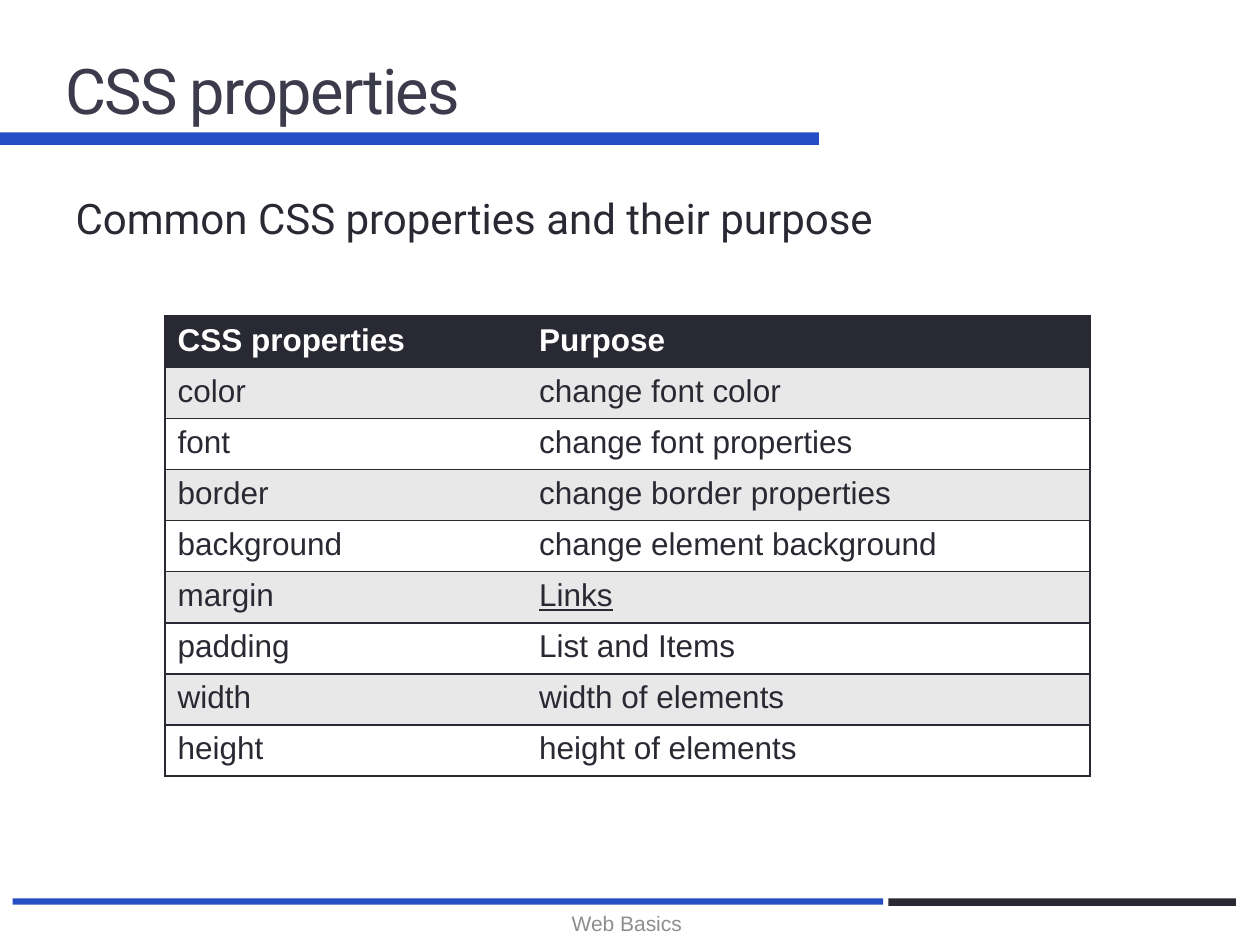
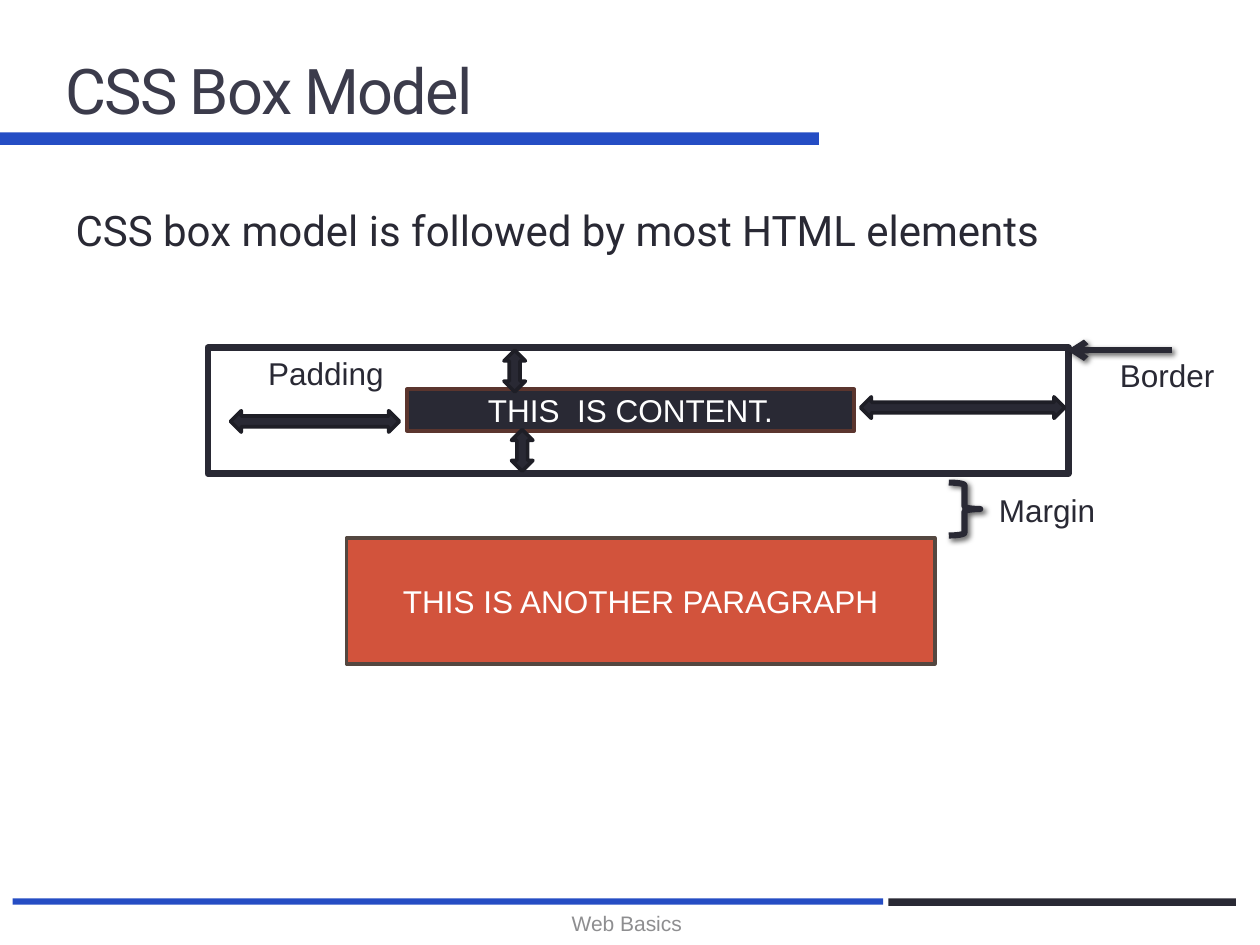
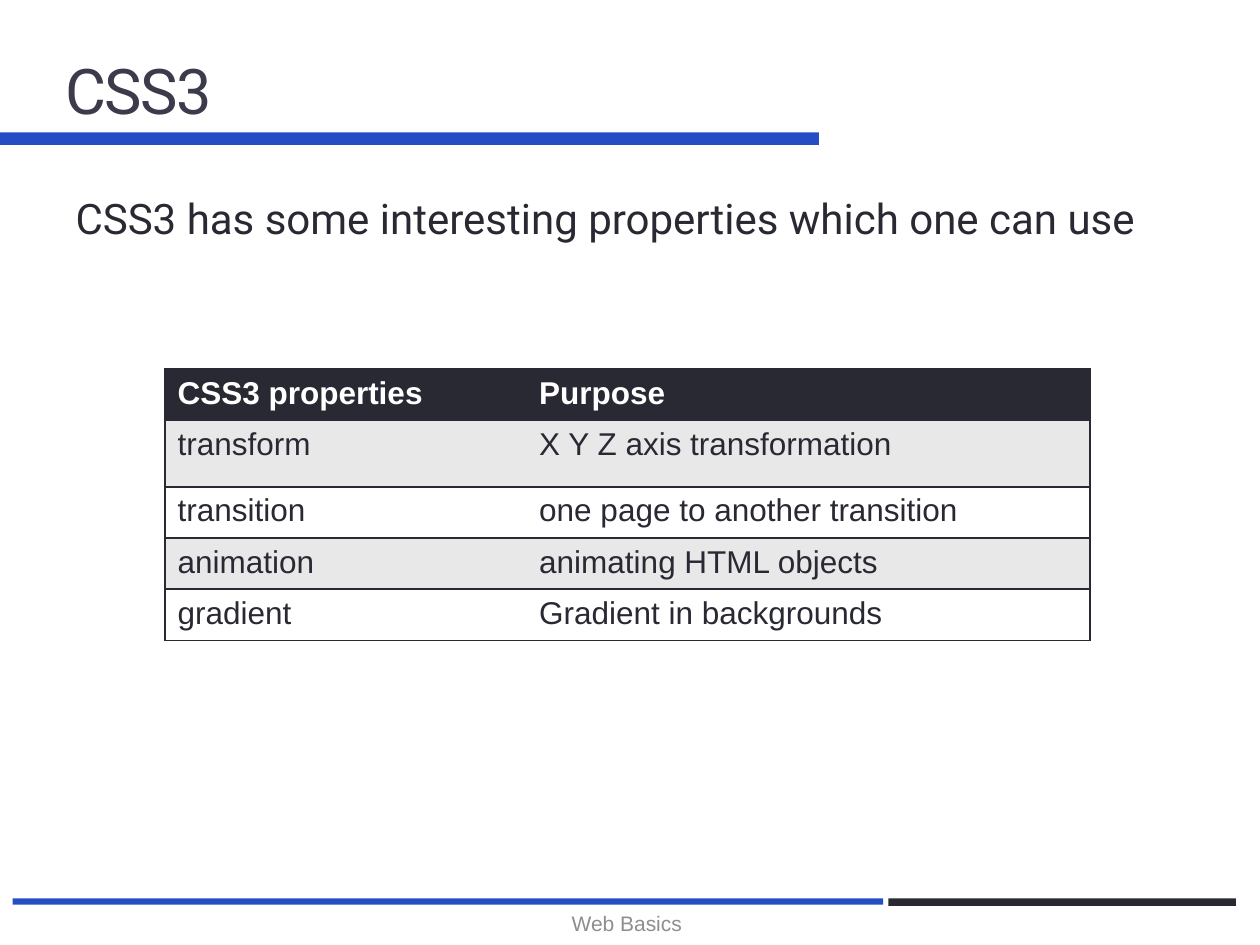
from lxml.etree import SubElement
from pptx import Presentation
from pptx.dml.color import RGBColor
from pptx.enum.shapes import MSO_CONNECTOR, MSO_SHAPE
from pptx.enum.text import MSO_ANCHOR, MSO_AUTO_SIZE, PP_ALIGN
from pptx.oxml import parse_xml
from pptx.oxml.ns import nsdecls, qn
from pptx.util import Inches, Pt

COLORS = {
    "blue": "254DC4", "ink": "292934", "title": "3B3B4B", "footer": "8E8E90",
    "white": "FFFFFF", "band": "E8E8E8", "orange": "D2533C",
    "content_line": "5B352E", "paragraph_line": "544740", "arrow_line": "1E1E26",
}
HEAD_FONT, TEXT_FONT = "Roboto", "Arial"
FOOTER = "Web Basics"
NO_TABLE_STYLE = "{2D5ABB26-0587-4C30-8999-92F81FD0307C}"

# Content: tables
CSS_ROWS = [
    ("CSS properties", "Purpose"),
    ("color", "change font color"),
    ("font", "change font properties"),
    ("border", "change border properties"),
    ("background", "change element background"),
    ("margin", "Links"),
    ("padding", "List and Items"),
    ("width", "width of elements"),
    ("height", "height of elements"),
]
CSS3_ROWS = [
    ("CSS3 properties", "Purpose"),
    ("transform", "X Y Z axis transformation"),
    ("transition", "one page to another transition"),
    ("animation", "animating HTML objects"),
    ("gradient", "Gradient in backgrounds"),
]
UNDERLINED = {"Links"}
TABLE_LEFT, COL_WIDTHS, ROW_HEIGHT = 1.31, (2.87, 4.47), 3.65 / 9

# Content: bars shared by all slides (box, colour)
BARS = [
    ((0, 1.05, 6.5, 0.1), "blue"),
    ((0.1, 7.13, 6.91, 0.05), "blue"),
    ((7.05, 7.13, 2.76, 0.06), "ink"),
]

# Content: box model (box, fill, line, line width, text)
BOXES = [
    ((1.65, 2.76, 6.83, 1), "white", "ink", 3.75, ""),
    ((3.23, 3.09, 3.55, 0.33), "ink", "content_line", 2.08, "THIS  IS CONTENT."),
    ((2.75, 4.27, 4.67, 1), "orange", "paragraph_line", 2.08,
     "THIS IS ANOTHER PARAGRAPH"),
]
LABELS = [
    ("Margin", (7.83, 3.85, 1.25, 0.4)),
    ("Padding", (2.03, 2.76, 1.33, 0.42)),
    ("Border", (8.79, 2.78, 1.33, 0.42)),
]
ARROW_THICK, ARROW_RISE = 0.17, 0.33
VERTICAL_ARROWS = [(4, 2.78), (4.06, 3.41)]
HORIZONTAL_ARROWS = [(1.83, 3.26, 1.34), (6.83, 3.15, 1.62)]
BRACE = (7.53, 3.83, 0.25, 0.42)
BORDER_POINTER = (9.3, 2.78, 8.47, 2.78)


def rgb(name):
    return RGBColor.from_string(COLORS[name])


def inches(box):
    return [Inches(v) for v in box]


def write(tf, text, size=18, color="ink", font=TEXT_FONT, align=PP_ALIGN.LEFT,
          anchor=MSO_ANCHOR.TOP):
    tf.text = text
    tf.word_wrap = True
    tf.auto_size = MSO_AUTO_SIZE.NONE
    tf.vertical_anchor = anchor
    p = tf.paragraphs[0]
    p.alignment = align
    p.font.size, p.font.name, p.font.color.rgb = Pt(size), font, rgb(color)
    return p


def set_effects(sp, shadow=False):
    """Replace the theme shadow by none, or by a small diagonal one."""
    effects = SubElement(sp.element.spPr, qn("a:effectLst"))
    if shadow:
        outer = SubElement(effects, qn("a:outerShdw"), blurRad=str(Pt(3)),
                           dist=str(Pt(2)), dir="2700000", rotWithShape="0")
        color = SubElement(outer, qn("a:srgbClr"), val="000000")
        SubElement(color, qn("a:alpha"), val="60000")


def add_shape(slide, kind, box, fill=None, line=None, width=2.08, shadow=False):
    sp = slide.shapes.add_shape(kind, *inches(box))
    if fill:
        sp.fill.solid()
        sp.fill.fore_color.rgb = rgb(fill)
    else:
        sp.fill.background()
    if line:
        sp.line.color.rgb, sp.line.width = rgb(line), Pt(width)
    else:
        sp.line.fill.background()
    set_effects(sp, shadow)
    return sp


def add_label(slide, text, box, **style):
    sp = slide.shapes.add_textbox(*inches(box))
    write(sp.text_frame, text, **style)


def place(sp, box):
    sp.left, sp.top, sp.width, sp.height = inches(box)


def add_slide(title, lead, lead_top=1.48):
    slide = prs.slides.add_slide(layout)
    head, body = slide.shapes.title, slide.placeholders[1]
    place(head, (0.42, 0.17, 9, 1.08))
    p = write(head.text_frame, title, 36, "title", HEAD_FONT, anchor=MSO_ANCHOR.MIDDLE)
    p.runs[0].font._element.set("spc", "-100")
    place(body, (0.5, lead_top, 9, 0.61))
    p = write(body.text_frame, lead, 24, font=HEAD_FONT)
    p.space_before = Pt(4.8)
    pPr = p._p.get_or_add_pPr()
    pPr.set("marL", "0")
    pPr.set("indent", "0")
    pPr.insert_element_before(parse_xml(f"<a:buNone {nsdecls('a')}/>"),
                              "a:tabLst", "a:defRPr", "a:extLst")
    add_label(slide, FOOTER, (3.39, 7.13, 3.17, 0.4), size=12, color="footer",
              align=PP_ALIGN.CENTER, anchor=MSO_ANCHOR.MIDDLE)
    return slide


def set_borders(cell, sides):
    tcPr = cell._tc.get_or_add_tcPr()
    for i, side in enumerate(sides):
        tcPr.insert(i, parse_xml(
            f'<a:ln{side} {nsdecls("a")} w="{Pt(1)}"><a:solidFill>'
            f'<a:srgbClr val="{COLORS["ink"]}"/></a:solidFill></a:ln{side}>'))


def add_property_table(slide, rows, top, tall_rows=None):
    heights = [ROW_HEIGHT] * len(rows)
    for i, height in (tall_rows or {}).items():
        heights[i] = height
    box = (TABLE_LEFT, top, sum(COL_WIDTHS), sum(heights))
    frame = slide.shapes.add_table(len(rows), len(COL_WIDTHS), *inches(box))
    table = frame.table
    table._tbl.tblPr.find(qn("a:tableStyleId")).text = NO_TABLE_STYLE
    table.horz_banding = False
    for col, width in zip(table.columns, COL_WIDTHS):
        col.width = Inches(width)
    for i, row in enumerate(rows):
        table.rows[i].height = Inches(heights[i])
        fill = "ink" if i == 0 else "band" if i % 2 else "white"
        for j, text in enumerate(row):
            cell = table.cell(i, j)
            cell.fill.solid()
            cell.fill.fore_color.rgb = rgb(fill)
            set_borders(cell, "RTB" if j else "LTB")
            p = cell.text_frame.paragraphs[0]
            p.text = text
            p.font.size, p.font.name, p.font.bold = Pt(18), TEXT_FONT, i == 0
            p.font.color.rgb = rgb("white" if i == 0 else "ink")
            if text in UNDERLINED:
                p.font.underline = True


prs = Presentation()
prs.slide_width, prs.slide_height = Inches(10), Inches(7.5)
layout = prs.slide_layouts[1]

# Slide 1: CSS properties
slide = add_slide("CSS properties", "Common CSS properties and their purpose")
add_property_table(slide, CSS_ROWS, 2.51)

# Shared bars: drawn once, then moved to the layout in place of its footers
for sp in list(layout.placeholders)[2:]:
    sp.element.getparent().remove(sp.element)
for box, color in BARS:
    bar = add_shape(slide, MSO_SHAPE.RECTANGLE, box, color)
    layout.shapes.element.append(bar.element)

# Slide 2: box model
slide = add_slide("CSS Box Model", "CSS box model is followed by most HTML elements", 1.57)
for box, fill, line, width, text in BOXES:
    sp = add_shape(slide, MSO_SHAPE.RECTANGLE, box, fill, line, width)
    if text:
        write(sp.text_frame, text, color="white", align=PP_ALIGN.CENTER,
              anchor=MSO_ANCHOR.MIDDLE)
add_shape(slide, MSO_SHAPE.RIGHT_BRACE, BRACE, line="ink", width=3.5, shadow=True)

pointer = slide.shapes.add_connector(MSO_CONNECTOR.STRAIGHT, *inches(BORDER_POINTER))
pointer.line.color.rgb, pointer.line.width = rgb("ink"), Pt(3.5)
SubElement(pointer.line._get_or_add_ln(), qn("a:tailEnd"), type="arrow")
set_effects(pointer, shadow=True)

for x, y in VERTICAL_ARROWS:
    add_shape(slide, MSO_SHAPE.UP_DOWN_ARROW, (x, y, ARROW_THICK, ARROW_RISE),
              "ink", "arrow_line")
for x, y, length in HORIZONTAL_ARROWS:
    add_shape(slide, MSO_SHAPE.LEFT_RIGHT_ARROW, (x, y, length, ARROW_THICK),
              "ink", "arrow_line")
for text, box in LABELS:
    add_label(slide, text, box)

# Slide 3: CSS3
slide = add_slide("CSS3", "CSS3 has some interesting properties which one can use")
add_property_table(slide, CSS3_ROWS, 2.93, {1: 0.53})

prs.save("out.pptx")
